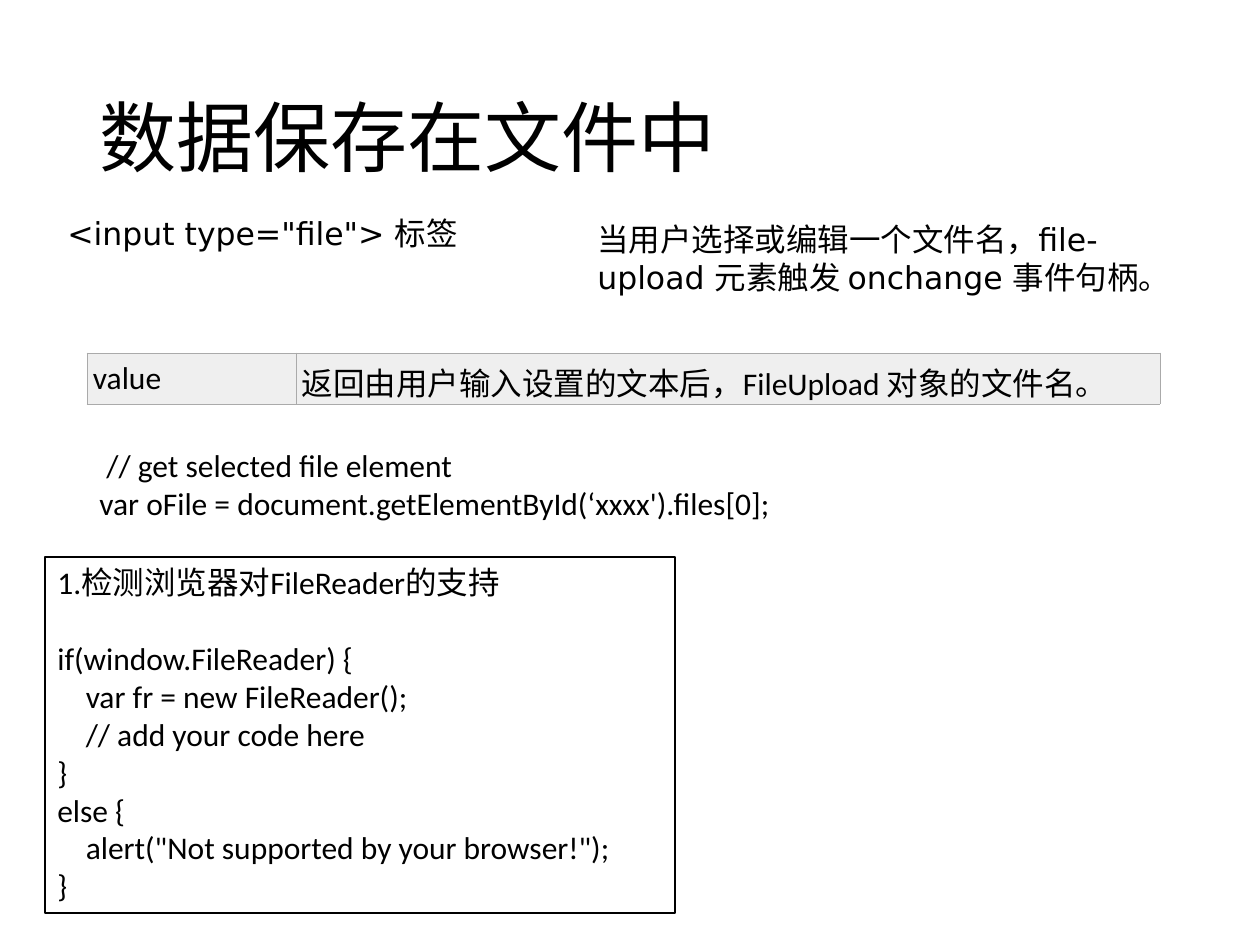
import pptx
import pptx.util
import pptx.dml.color
import pptx.enum.shapes
import pptx.enum.text
import pptx.oxml

Pt = pptx.util.Pt
RGB = pptx.dml.color.RGBColor.from_string
MID = pptx.enum.text.MSO_ANCHOR.MIDDLE
INK = {"text": "000000", "paper": "FFFFFF", "cell": "EFEFEF", "rule": "AAAAAA"}


def px(*nums):
    return [round(n * 914400 / 126) for n in nums]


def write(frame, text, size=18, font="Calibri", anchor=None, lead=None, gaps={}):
    frame.word_wrap = True
    if anchor is not None:
        frame.vertical_anchor = anchor
    for i, line in enumerate(text.split("\n")):
        para = frame.paragraphs[0] if i == 0 else frame.add_paragraph()
        para.alignment = pptx.enum.text.PP_ALIGN.LEFT
        if lead:
            para.line_spacing = lead
        if i in gaps:
            para.space_before = Pt(gaps[i])
        run = para.add_run()
        run.text = line
        run.font.size = Pt(size)
        run.font.name = font
        run.font.color.rgb = RGB(INK["text"])


deck = pptx.Presentation()
deck.slide_width, deck.slide_height = px(1260, 945)
slide = deck.slides.add_slide(deck.slide_layouts[6])

get = """ // get selected file element
var oFile = document.getElementById(‘xxxx').files[0];"""

notes = [
    ((87, 50, 1086, 183), "数据保存在文件中", dict(size=44, anchor=MID, lead=0.9)),
    ((45, 208, 430, 50), " <input type=\"file\"> 标签", dict(font="DejaVu Sans")),
    ((585, 214, 630, 89), "当用户选择或编辑一个文件名，file-upload 元素触发 onchange 事件句柄。",
     dict(font="DejaVu Sans")),
    ((87, 440, 1072, 89), get, {}),
]
for spot, text, form in notes:
    write(slide.shapes.add_textbox(*px(*spot)).text_frame, text, **form)

grid = slide.shapes.add_table(1, 2, *px(87, 353, 1073, 51)).table
cells = [(209, "value"), (864, "返回由用户输入设置的文本后，FileUpload 对象的文件名。")]
for col, (wide, text) in enumerate(cells):
    grid.columns[col].width = px(wide)[0]
    cell = grid.cell(0, col)
    cell.fill.solid()
    cell.fill.fore_color.rgb = RGB(INK["cell"])
    cell.margin_left, cell.margin_top, cell.margin_right, cell.margin_bottom = px(6, 6, 15, 6)
    write(cell.text_frame, text)
    cell.vertical_anchor = MID
    props = cell.fill._xPr
    for i, side in enumerate("LRTB"):
        props.insert(i, pptx.oxml.parse_xml(
            f'<a:ln{side} xmlns:a="http://schemas.openxmlformats.org/drawingml/2006/main"'
            f' w="{Pt(0.6)}"><a:solidFill><a:srgbClr val="{INK["rule"]}"/>'
            f'</a:solidFill></a:ln{side}>'))

code = """1.检测浏览器对FileReader的支持
if(window.FileReader) {
    var fr = new FileReader();
    // add your code here
}
else {
    alert("Not supported by your browser!");
}"""
box = slide.shapes.add_shape(pptx.enum.shapes.MSO_SHAPE.RECTANGLE, *px(45, 557, 630, 356))
box.shadow.inherit = False
box.fill.solid()
box.fill.fore_color.rgb = RGB(INK["paper"])
box.line.color.rgb = RGB(INK["text"])
box.line.width = Pt(1)
write(box.text_frame, code, anchor=pptx.enum.text.MSO_ANCHOR.TOP, gaps={1: 22})

deck.save("out.pptx")
